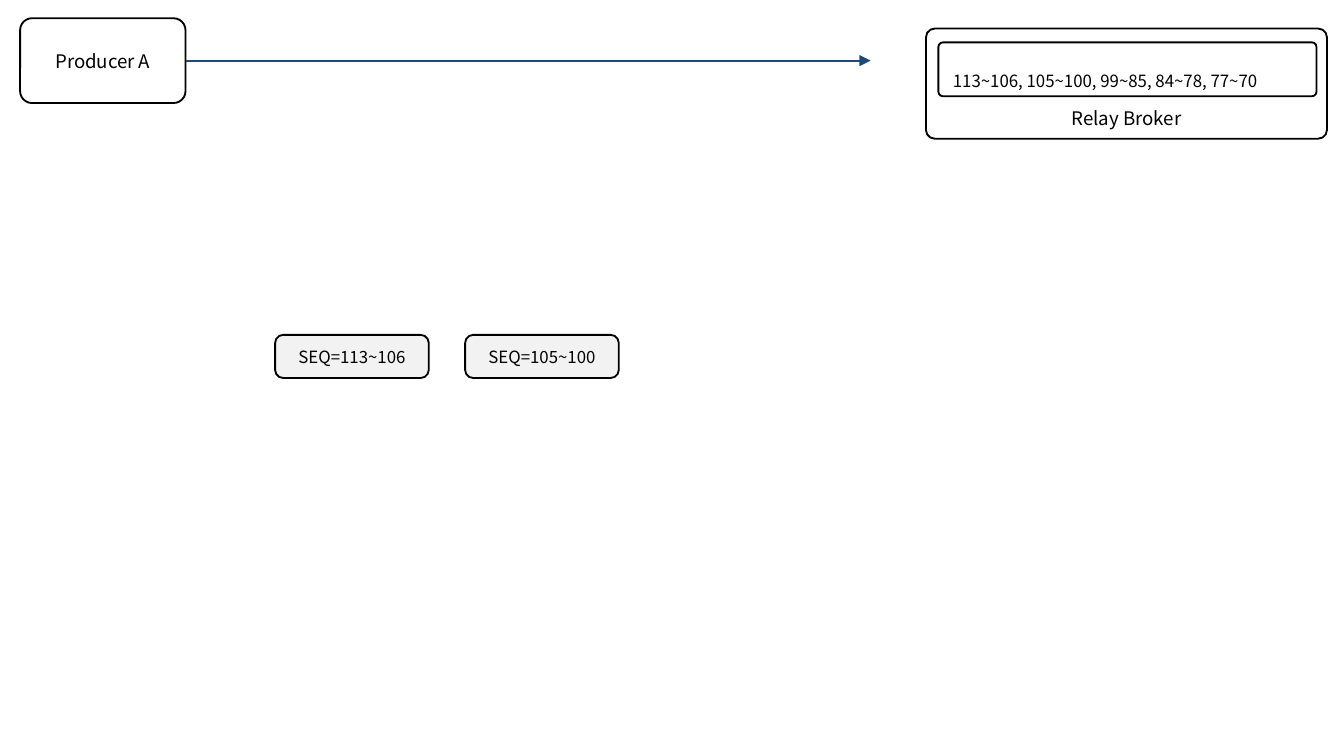
"""Build a slide of a producer sending sequenced batches to a broker."""
import pptx
import pptx.dml.color
import pptx.enum.shapes
import pptx.enum.text
import pptx.oxml
import pptx.oxml.ns
import pptx.util

Pt = pptx.util.Pt
ALIGN = pptx.enum.text.PP_ALIGN
ANCHOR = pptx.enum.text.MSO_ANCHOR
COLORS = {"white": "FFFFFF", "gray": "F2F2F2", "black": "000000", "blue": "1F497D"}


class Diagram:
    """Hold the style and the current slide."""

    font = "Noto Sans CJK KR"
    line_width = 1

    def __init__(self, slide):
        self.s = slide

    def color(self, name):
        """Return the named colour."""
        return pptx.dml.color.RGBColor.from_string(COLORS[name])

    def box(self, text, x, y, w, h, radius, size=10, fill="white",
            anchor=ANCHOR.MIDDLE, align=ALIGN.CENTER):
        """Add a rounded box with one line of text."""
        sp = self.s.shapes.add_shape(
            pptx.enum.shapes.MSO_SHAPE.ROUNDED_RECTANGLE, Pt(x), Pt(y), Pt(w), Pt(h))
        sp.adjustments[0] = radius / min(w, h)
        sp.shadow.inherit = False
        sp.fill.solid()
        sp.fill.fore_color.rgb = self.color(fill)
        sp.line.color.rgb = self.color("black")
        sp.line.width = Pt(self.line_width)
        tf = sp.text_frame
        tf.text = text
        tf.word_wrap = True
        tf.vertical_anchor = anchor
        p = tf.paragraphs[0]
        p.alignment = align
        r = p.runs[0]
        r.font.name = self.font
        r.font.size = Pt(size)
        r.font.color.rgb = self.color("black")
        return sp

    def arrow(self, source, x):
        """Add a horizontal arrow from the right side of a box to x."""
        y = source.top + source.height // 2
        sp = self.s.shapes.add_connector(
            pptx.enum.shapes.MSO_CONNECTOR.STRAIGHT,
            source.left + source.width, y, Pt(x), y)
        sp.begin_connect(source, 3)
        sp.line.color.rgb = self.color("blue")
        sp.line.width = Pt(self.line_width)
        ns = pptx.oxml.ns.nsdecls("a")
        sp.line._get_or_add_ln().append(
            pptx.oxml.parse_xml(f'<a:tailEnd {ns} type="triangle"/>'))
        sp._element.spPr.append(pptx.oxml.parse_xml(f"<a:effectLst {ns}/>"))
        return sp


def main():
    """Build and save the slide."""
    prs = pptx.Presentation()
    prs.slide_width, prs.slide_height = Pt(720), Pt(405)
    d = Diagram(prs.slides.add_slide(prs.slide_layouts[6]))

    producer = d.box("Producer A", 10.8, 9.8, 88.6, 45.4, 6.4)
    d.box("Relay Broker", 496.1, 15.3, 214.8, 59, 4.7, anchor=ANCHOR.BOTTOM)
    d.arrow(producer, 466.4)

    for i, batch in enumerate(("113~106", "105~100")):
        d.box(f"SEQ={batch}", 147.4 + 101.8 * i, 179.4, 82.3, 23.1, 4.3,
              size=9, fill="gray")

    log = d.box("113~106, 105~100, 99~85, 84~78, 77~70", 502.7, 22.7, 202.6, 28.9, 2.5,
                size=9, align=ALIGN.LEFT)
    log.text_frame.margin_top = Pt(12)
    log.text_frame.margin_bottom = Pt(0)

    prs.save("out.pptx")


if __name__ == "__main__":
    main()
